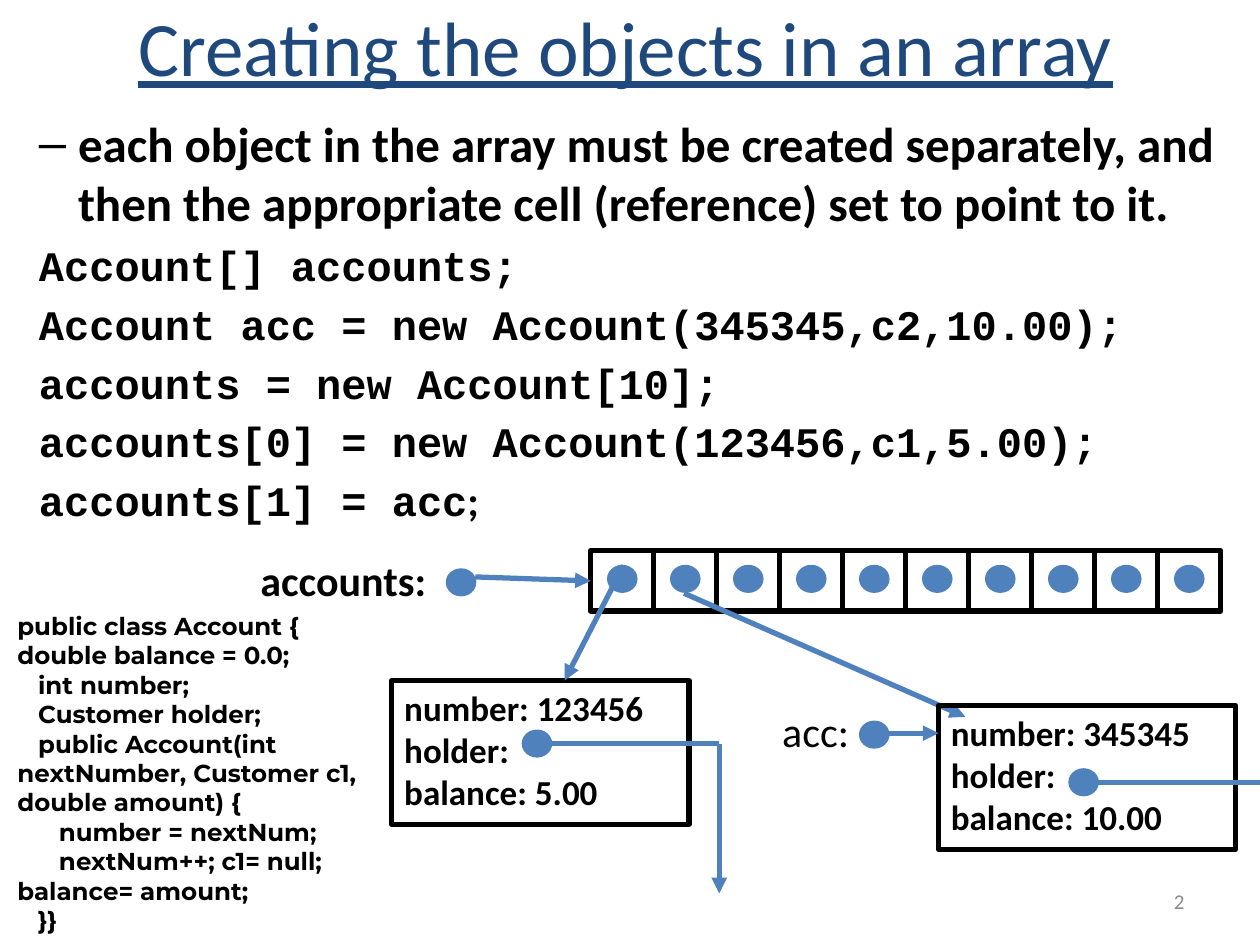
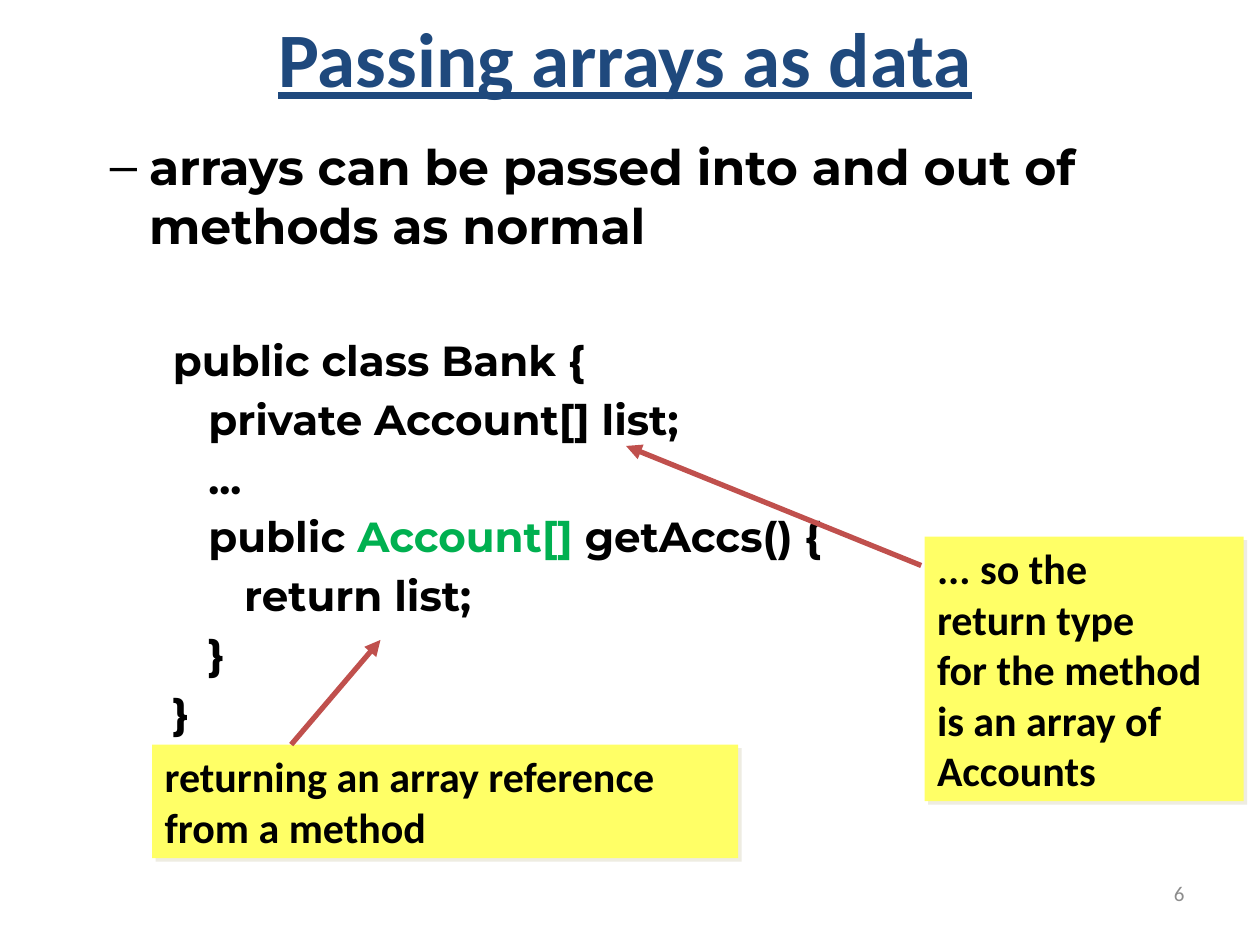
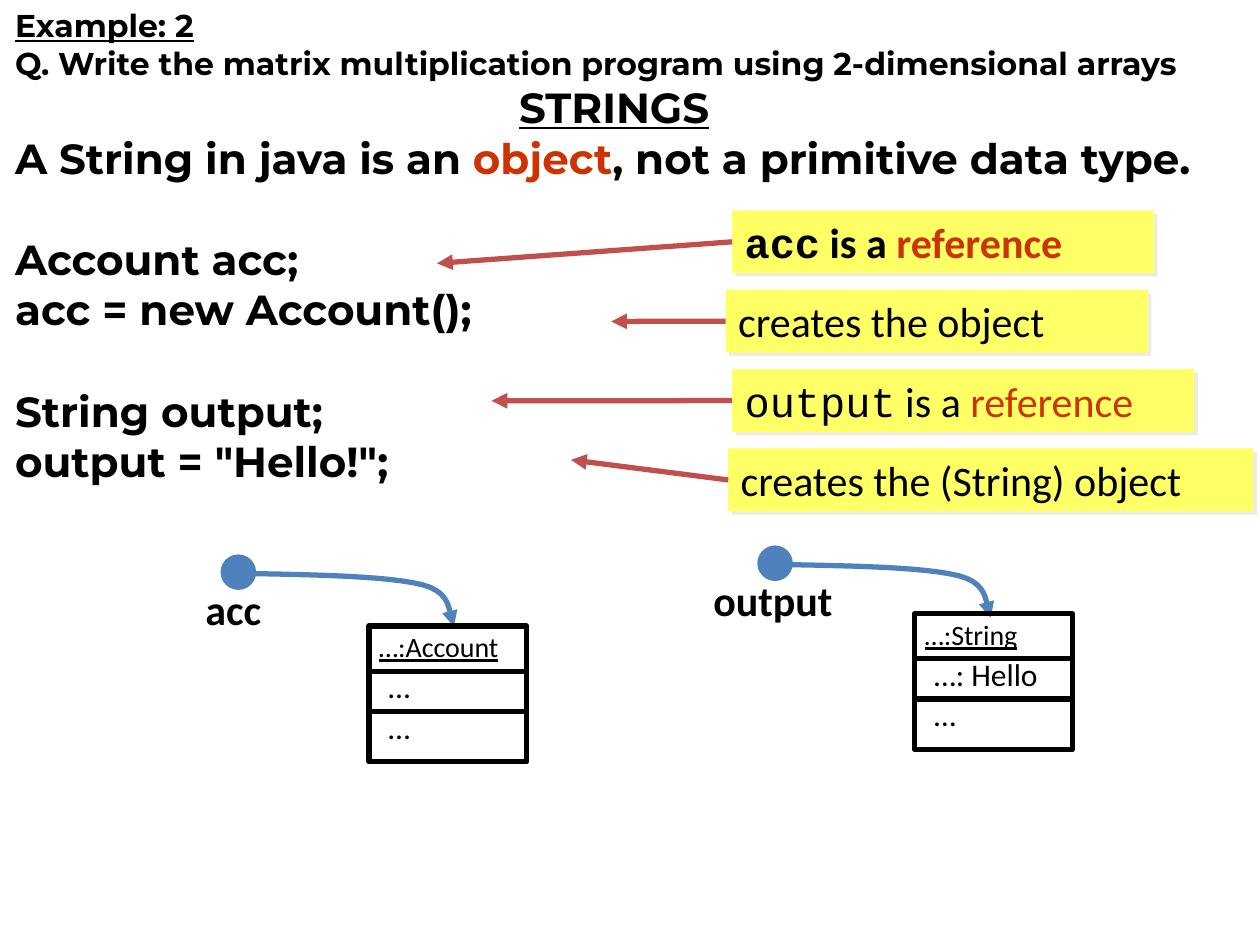
from dataclasses import dataclass, replace

from lxml.etree import SubElement
from pptx import Presentation
from pptx.dml.color import RGBColor
from pptx.enum.shapes import MSO_CONNECTOR as CONNECTOR, MSO_SHAPE as SHAPE
from pptx.enum.text import MSO_ANCHOR as ANCHOR, MSO_AUTO_SIZE as AUTO_SIZE, PP_ALIGN as ALIGN
from pptx.oxml.ns import qn
from pptx.util import Cm, Pt

BLACK = RGBColor(0x00, 0x00, 0x00)
NAVY = RGBColor(0x1F, 0x49, 0x7D)
BLUE = RGBColor(0x4F, 0x81, 0xBD)
RED = RGBColor(0xC0, 0x50, 0x4D)
ORANGE = RGBColor(0xCC, 0x33, 0x00)
GREEN = RGBColor(0x00, 0xB0, 0x50)
YELLOW = RGBColor(0xFF, 0xFF, 0x66)
CREAM = RGBColor(0xEE, 0xEC, 0xE1)
GREY = RGBColor(0x8C, 0x8C, 0x8C)

LINE_WIDTH = Pt(3)
DOT_W, DOT_H = 0.51, 0.46
CELL_COUNT, CELL_W, CELL_H = 10, 1.27, 1.22
RECORD_W, RECORD_H = 5.99, 2.9
OBJECT_W, OBJECT_H = 3.18, 2.74
LABEL_H = 1.27
# Two Bezier pieces, as offsets in cm from the start of the curve
POINTER_CURVE = [
    [(0, 0), (1.45, 0.03), (2.9, 0.05), (3.61, 0.23)],
    [(3.61, 0.23), (4.29, 0.41), (4.11, 0.91), (4.24, 1.07)],
]
CURVE_STEPS = 12


@dataclass(frozen=True)
class Style:
    size: int
    font: str = "Calibri"
    bold: bool = False
    colour: RGBColor = BLACK
    underline: bool = False


TITLE = Style(44, colour=NAVY, underline=True)
PLAIN = Style(24)
STRONG = Style(24, bold=True)
RECORD = Style(20, bold=True)
ROW = Style(18)
MONO = Style(24, "Courier New", bold=True)
CODE = Style(24, "Montserrat", bold=True)


def box(left, top, width, height):
    return Cm(left), Cm(top), Cm(width), Cm(height)


def place(shape, left, top, width, height):
    shape.left, shape.top, shape.width, shape.height = box(left, top, width, height)


def write(frame, paragraphs, align=ALIGN.LEFT, anchor=ANCHOR.TOP):
    """Fill a frame; each paragraph is a list of (text, style) runs."""
    frame.word_wrap = True
    frame.auto_size = AUTO_SIZE.NONE
    frame.vertical_anchor = anchor
    for index, runs in enumerate(paragraphs):
        paragraph = frame.add_paragraph() if index else frame.paragraphs[0]
        paragraph.alignment = align
        for text, style in runs:
            run = paragraph.add_run()
            run.text = text
            run.font.name = style.font
            run.font.size = Pt(style.size)
            run.font.bold = style.bold
            run.font.underline = style.underline
            run.font.color.rgb = style.colour
    return frame.paragraphs


def one_style(lines, style):
    return [[(line, style)] for line in lines]


def indent(paragraph, level, left, hanging=0, bullet=None):
    paragraph.level = level
    properties = paragraph._p.get_or_add_pPr()
    properties.set("marL", str(Cm(left)))
    properties.set("indent", str(-Cm(hanging)))
    if bullet:
        SubElement(properties, qn("a:buChar"), char=bullet)
    else:
        SubElement(properties, qn("a:buNone"))


def add_title(slide, top, text, style):
    title = slide.shapes.title
    place(title, 0.61, top, 24, 1.8)
    write(title.text_frame, [[(text, style)]], ALIGN.CENTER, ANCHOR.MIDDLE)


def add_body(slide, bounds, paragraphs):
    body = slide.placeholders[1]
    place(body, *bounds)
    written = write(body.text_frame, paragraphs)
    written[0].space_before = Pt(0)
    return written


def add_text(slide, bounds, paragraphs, **layout):
    textbox = slide.shapes.add_textbox(*box(*bounds))
    write(textbox.text_frame, paragraphs, **layout)


def add_number(slide, top, height, number):
    add_text(slide, (18.21, top, 5.92, height), [[(number, Style(12, colour=GREY))]],
             align=ALIGN.RIGHT, anchor=ANCHOR.MIDDLE)


def add_frame(slide, *bounds):
    """Add an unfilled rectangle with a black outline."""
    frame = slide.shapes.add_shape(SHAPE.RECTANGLE, *box(*bounds))
    frame.shadow.inherit = False
    frame.fill.background()
    frame.line.color.rgb = BLACK
    frame.line.width = LINE_WIDTH
    return frame


def add_dot(slide, left, top, width=DOT_W, height=DOT_H):
    dot = slide.shapes.add_shape(SHAPE.OVAL, *box(left, top, width, height))
    dot.shadow.inherit = False
    dot.fill.solid()
    dot.fill.fore_color.rgb = BLUE
    dot.line.color.rgb = BLUE
    dot.line.width = LINE_WIDTH


def add_arrowhead(line):
    SubElement(line.get_or_add_ln(), qn("a:tailEnd"), type="triangle")


def add_line(slide, start, end, colour, arrow=True):
    line = slide.shapes.add_connector(
        CONNECTOR.STRAIGHT, Cm(start[0]), Cm(start[1]), Cm(end[0]), Cm(end[1]))
    line.line.color.rgb = colour
    line.line.width = LINE_WIDTH
    if arrow:
        add_arrowhead(line)
    SubElement(line._element.spPr, qn("a:effectLst"))
    return line


def add_label(slide, bounds, paragraphs):
    """Add a yellow note with a short cream shadow."""
    label = slide.shapes.add_shape(SHAPE.RECTANGLE, *box(*bounds))
    label.fill.solid()
    label.fill.fore_color.rgb = YELLOW
    label.line.fill.background()
    label.shadow.inherit = False
    effects = label._element.spPr.find(qn("a:effectLst"))
    shadow = SubElement(effects, qn("a:outerShdw"), dist=str(Pt(2.8)),
                        dir=str(45 * 60000), algn="ctr", rotWithShape="0")
    SubElement(shadow, qn("a:srgbClr"), val=str(CREAM))
    write(label.text_frame, paragraphs)
    return label


def add_array(slide, left, top):
    """Add the row of cells with their references; return the first cell."""
    lefts = [left + i * CELL_W for i in range(CELL_COUNT)]
    cells = [add_frame(slide, x, top, CELL_W, CELL_H) for x in lefts]
    for x in lefts:
        add_dot(slide, x + 0.38, top + 0.34)
    return cells[0]


def add_record(slide, left, top, number, balance, holder_y, holder_end):
    record = add_frame(slide, left, top, RECORD_W, RECORD_H)
    lines = [f"number: {number}", "holder:", f"balance: {balance}"]
    write(record.text_frame, one_style(lines, RECORD))
    add_dot(slide, left + 2.67, holder_y - DOT_H / 2)
    add_line(slide, (left + 2.97, holder_y), (holder_end, holder_y), BLUE, arrow=False)


def bezier(points, t):
    weights = ((1 - t) ** 3, 3 * t * (1 - t) ** 2, 3 * t * t * (1 - t), t ** 3)
    return [sum(w * p[axis] for w, p in zip(weights, points)) for axis in (0, 1)]


def add_pointer(slide, left, top):
    offsets = [bezier(piece, step / CURVE_STEPS)
               for piece in POINTER_CURVE for step in range(1, CURVE_STEPS + 1)]
    builder = slide.shapes.build_freeform(Cm(left), Cm(top))
    builder.add_line_segments([(Cm(left + x), Cm(top + y)) for x, y in offsets], close=False)
    pointer = builder.convert_to_shape()
    pointer.shadow.inherit = False
    pointer.fill.background()
    pointer.line.color.rgb = BLUE
    pointer.line.width = LINE_WIDTH
    add_arrowhead(pointer)


def add_reference(slide, left, top, name, name_shift, name_width):
    add_pointer(slide, left + 0.41, top + 0.33)
    add_dot(slide, left, top, 0.61, 0.61)
    add_text(slide, (left - name_shift, top + 0.41, name_width, LABEL_H), [[(name, STRONG)]])


def add_object(slide, left, top, kind, rows):
    add_frame(slide, left, top, OBJECT_W, OBJECT_H)
    add_text(slide, (left - 0.05, top - 0.05, 3.28, 0.94),
             [[(f"…:{kind}", Style(16, underline=True))]])
    for divider, row_top, row in zip((0.91, 1.72), (0.71, 1.52), rows):
        y = top + divider
        add_line(slide, (left - 0.05, y), (left + OBJECT_W, y), BLACK, arrow=False)
        add_text(slide, (left + 0.14, top + row_top, 2.95, 1.02), [[(row, ROW)]])


def build_creating(slide):
    add_title(slide, 0.03, "Creating the objects in an array", TITLE)
    rule = ("each object in the array must be created separately, and then the "
            "appropriate cell (reference) set to point to it.")
    statements = one_style([
        "Account[] accounts;",
        "Account acc = new Account(345345,c2,10.00);",
        "accounts = new Account[10];",
        "accounts[0] = new Account(123456,c1,5.00);",
    ], MONO)
    last = [("accounts[1] = acc", MONO), (";", STRONG)]
    paragraphs = add_body(slide, (0, 2.16, 25.4, 7.62),
                          [[(rule, replace(STRONG, size=28))], *statements, last])
    for index, paragraph in enumerate(paragraphs):
        indent(paragraph, 1, 1.32, 0.79, None if index else "–")

    add_text(slide, (5, 11.05, 4.52, LABEL_H), [[("accounts:", STRONG)]])
    add_dot(slide, 9.04, 11.51)
    first_cell = add_array(slide, 11.91, 11.1)
    add_line(slide, (9.58, 11.63), (11.91, 11.71), BLUE).end_connect(first_cell, 1)

    add_line(slide, (13.79, 11.96), (19.46, 14.45), BLUE)
    add_record(slide, 7.9, 13.72, "123456", "5.00", 14.99, 14.5)
    add_line(slide, (14.5, 14.99), (14.5, 18.01), BLUE)
    add_line(slide, (12.57, 11.4), (11.38, 13.72), BLUE)
    add_record(slide, 18.92, 14.22, "345345", "10.00", 15.77, 25.4)

    add_text(slide, (15.52, 14.1, 2.06, LABEL_H), [[("acc:", PLAIN)]])
    add_dot(slide, 17.37, 14.58)
    add_line(slide, (17.65, 14.78), (18.92, 14.78), BLUE)

    account_class = [
        "public class Account {",
        "double balance = 0.0;",
        "   int number;",
        "   Customer holder;",
        "   public Account(int nextNumber, Customer c1, double amount) {",
        "      number = nextNum;",
        "      nextNum++; c1= null; balance= amount;",
        "   }}",
    ]
    add_text(slide, (0.1, 12.19, 7.8, 6.83), one_style(account_class, replace(CODE, size=14)))
    add_number(slide, 17.65, 1.02, "2")


def build_passing(slide):
    add_number(slide, 17.35, 1.32, "6")
    add_title(slide, 0.25, "Passing arrays as data", replace(TITLE, bold=True))
    rule = "arrays can be passed into and out of methods as normal"
    before = ["public class Bank {", "   private Account[] list;", "   ..."]
    getter = [("   public ", CODE), ("Account[] ", replace(CODE, colour=GREEN)),
              ("getAccs() {", CODE)]
    after = ["      return list;", "   }", "}"]
    heading, *code = add_body(slide, (0.69, 2.62, 23.95, 13.51), [
        [(rule, replace(CODE, size=28))],
        *one_style(before, CODE), getter, *one_style(after, CODE)])
    indent(heading, 1, 2.06, 0.79, "–")
    for paragraph in code:
        indent(paragraph, 2, 3.18, 0.64)
    code[0].space_before = Pt(46)

    add_label(slide, (3.07, 15.01, 11.81, 2.29),
              one_style(["returning an array reference", "from a method"], STRONG))
    add_line(slide, (5.87, 15.01), (7.67, 12.9), RED)
    return_note = ["... so the", "return type", "for the method", "is an array of", "Accounts"]
    add_label(slide, (18.64, 10.82, 6.43, 5.33), one_style(return_note, STRONG))
    add_line(slide, (18.57, 11.4), (12.62, 8.99), RED)


def build_strings(slide):
    small = replace(CODE, size=18)
    heading = slide.shapes.title
    place(heading, 0.05, 0, 25.04, 2.82)
    lines = write(heading.text_frame, [
        [("Example: 2", replace(small, underline=True))],
        [("Q. Write the matrix multiplication program using 2-dimensional arrays", small)],
        [("STRINGS", replace(CODE, underline=True))]])
    indent(lines[-1], 0, 10.16)

    statement = [("A String in java is an ", CODE), ("object", replace(CODE, colour=ORANGE)),
                 (", not a primitive data type.", CODE)]
    code = ["Account acc;", "acc = new Account();", "String output;", 'output = "Hello!";']
    paragraphs = add_body(slide, (0.05, 2.54, 25.35, 7.44), [statement, *one_style(code, CODE)])
    for paragraph, gap in zip(paragraphs, (0, 29, 0, 29, 0)):
        indent(paragraph, 0, 0)
        paragraph.space_before = Pt(gap)

    def reference_note(name, bold):
        style = replace(PLAIN, bold=bold)
        return [(name, replace(MONO, bold=bold)), (" is a ", style),
                ("reference", replace(style, colour=ORANGE))]

    notes = [
        (14.76, 8.51, reference_note("acc", True), (8.81, 5.31)),
        (14.63, 8.51, [("creates the object", PLAIN)], (12.32, 6.48)),
        (14.76, 9.32, reference_note("output", False), (9.91, 8.08)),
        (14.68, 10.59, [("creates the (String) object", PLAIN)], (11.51, 9.27)),
    ]
    for index, (left, width, note, target) in enumerate(notes):
        top = 4.24 + 1.6 * index
        label = add_label(slide, (left, top, width, LABEL_H), [note])
        add_line(slide, (left, top + LABEL_H / 2), target, RED).begin_connect(label, 1)

    add_reference(slide, 4.5, 11.23, "acc", 0.61, 1.93)
    add_object(slide, 7.44, 12.62, "Account", ["…", "…"])
    add_reference(slide, 15.32, 11.05, "output", 1.19, 3.15)
    add_object(slide, 18.44, 12.37, "String", ["…: Hello", "…"])


def main():
    deck = Presentation()
    deck.slide_width, deck.slide_height = Cm(25.4), Cm(19.05)
    title_and_content = deck.slide_layouts[1]
    for build in (build_creating, build_passing, build_strings):
        build(deck.slides.add_slide(title_and_content))
    deck.save("out.pptx")


if __name__ == "__main__":
    main()
